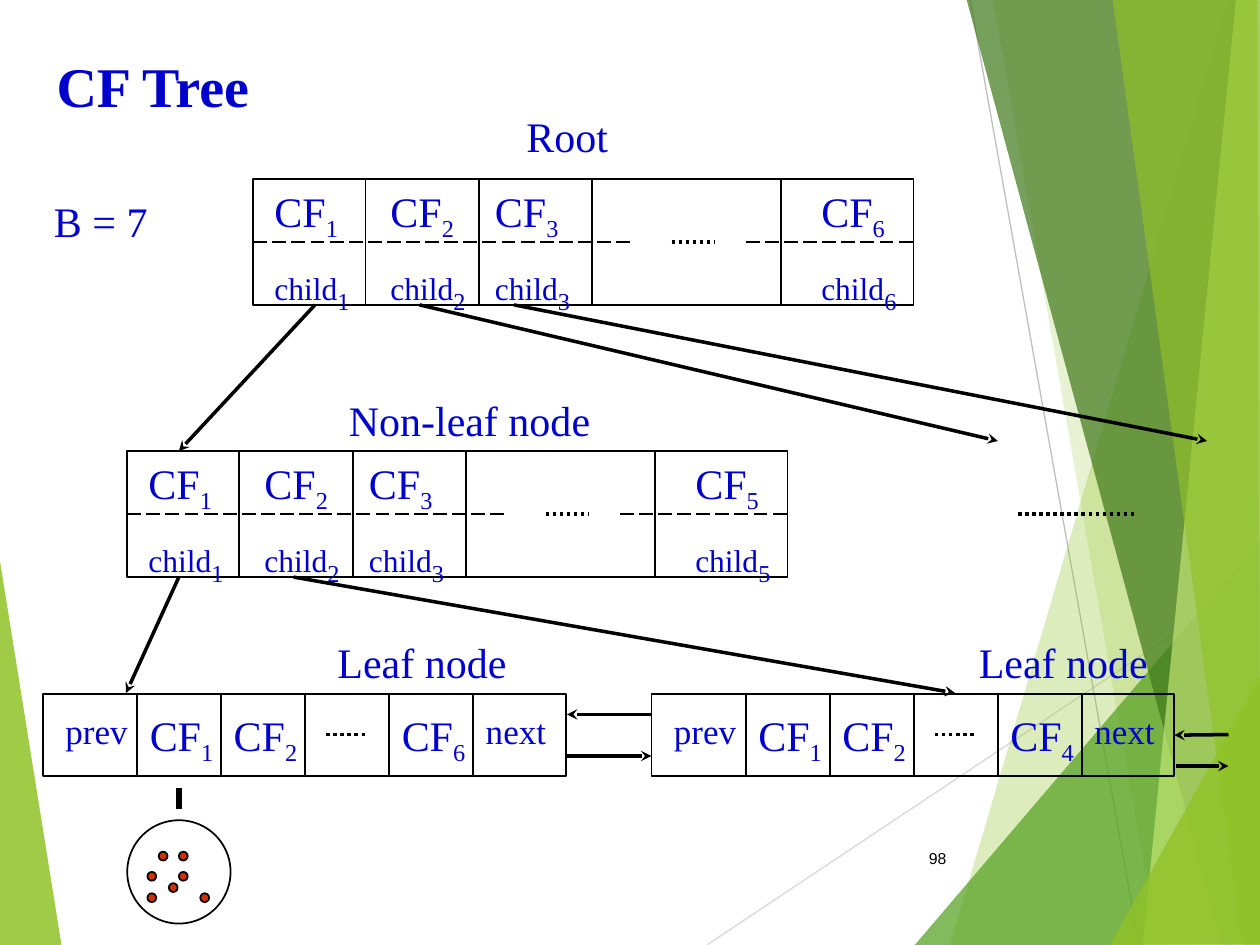
from lxml import etree
from pptx import Presentation
from pptx.dml.color import RGBColor
from pptx.enum.dml import MSO_LINE
from pptx.enum.shapes import MSO_CONNECTOR, MSO_SHAPE
from pptx.enum.text import MSO_ANCHOR, MSO_AUTO_SIZE, PP_ALIGN
from pptx.oxml.ns import qn
from pptx.util import Cm, Pt

STRAIGHT = MSO_CONNECTOR.STRAIGHT
RECTANGLE, OVAL = MSO_SHAPE.RECTANGLE, MSO_SHAPE.OVAL
LONG_DASH, DOTS = MSO_LINE.LONG_DASH, MSO_LINE.ROUND_DOT
TOP, MIDDLE, BOTTOM = MSO_ANCHOR.TOP, MSO_ANCHOR.MIDDLE, MSO_ANCHOR.BOTTOM
GROW, FIXED = MSO_AUTO_SIZE.SHAPE_TO_FIT_TEXT, MSO_AUTO_SIZE.NONE
LEFT_ALIGN, RIGHT_ALIGN = PP_ALIGN.LEFT, PP_ALIGN.RIGHT

BLACK = RGBColor(0x00, 0x00, 0x00)
BLUE = RGBColor(0x00, 0x00, 0xCC)
RED = RGBColor(0xCC, 0x33, 0x00)
LIME = RGBColor(0x90, 0xC2, 0x26)
GREEN = RGBColor(0x54, 0xA0, 0x21)
FOREST = RGBColor(0x3F, 0x78, 0x19)
PALE_LIME = RGBColor(0xC0, 0xE4, 0x74)
LIGHT_GRAY = RGBColor(0xD9, 0xD9, 0xD9)
GRAY = RGBColor(0xBF, 0xBF, 0xBF)

CM_PER_INCH = 2.54
LEFT_SIDE, RIGHT_SIDE = 1, 3

FACETS = [
    ([(9.75, 0), (7.54, 7.5), (10.02, 7.51), (10.01, 0.01)], LIME, 30),
    ([(7.88, -0.01), (9.19, 7.5), (10.01, 7.5), (10.01, -0.01)], LIME, 20),
    ([(7.26, 7.5), (10, 4.29), (10.01, 7.5)], GREEN, 72),
    ([(7.67, -0.01), (9.7, 7.5), (10.01, 7.49), (10.01, -0.01)], FOREST, 70),
    ([(9.81, -0.01), (9.07, 7.5), (10.01, 7.5), (10, -0.01)], PALE_LIME, 70),
    ([(8.83, -0.01), (9.86, 7.5), (10, 7.5), (9.98, -0.01)], LIME, 65),
    ([(8.81, 7.5), (10.01, 5.35), (10.01, 7.49)], LIME, 80),
]
CHILD_ARROWS = [
    ((2.5, 2.42), (1.42, 3.58)),
    ((3.33, 2.42), (7.92, 3.5)),
    ((4.08, 2.42), (9.58, 3.5)),
    ((1.42, 4.58), (1, 5.5)),
    ((2.33, 4.58), (7.58, 5.5)),
]
SIBLING_ARROWS = [
    ((5.17, 5.67), (4.5, 5.67)),
    ((4.5, 6), (5.17, 6)),
    ((9.33, 6.08), (9.75, 6.08)),
]
HEADINGS = [
    ("Root", 4.08, 0.83, 1.08),
    ("Non-leaf node", 2.67, 3.08, 2.17),
    ("Leaf node", 2.58, 5, 1.58),
    ("Leaf node", 7.67, 5, 1.58),
]
POINTS = [(1.26, 6.76), (1.42, 6.92), (1.42, 6.76), (1.17, 7.09),
          (1.17, 6.92), (1.34, 7.01), (1.59, 7.09)]


def length(inches):
    return Cm(inches * CM_PER_INCH)


def apply_format(target, values):
    for name, value in values.items():
        setattr(target, name, value)


class TreeSlide:
    font_name = "Times New Roman"

    def __init__(self, presentation):
        self.slide = presentation.slides.add_slide(presentation.slide_layouts[6])
        self.shapes = self.slide.shapes

    def facet(self, points, color, opacity):
        corners = [(length(x), length(y)) for x, y in points]
        builder = self.shapes.build_freeform(*corners[0])
        builder.add_line_segments(corners[1:], close=True)
        shape = builder.convert_to_shape()
        shape.shadow.inherit = False
        shape.line.fill.background()
        shape.fill.solid()
        shape.fill.fore_color.rgb = color
        color_element = shape._element.spPr.find(".//" + qn("a:srgbClr"))
        etree.SubElement(color_element, qn("a:alpha"), val=str(opacity * 1000))

    def outline(self, kind, left, top, width, height, fill=None):
        shape = self.shapes.add_shape(kind, *map(length, (left, top, width, height)))
        shape.shadow.inherit = False
        if fill is None:
            shape.fill.background()
        else:
            shape.fill.solid()
            shape.fill.fore_color.rgb = fill
        shape.line.color.rgb = BLACK
        shape.line.width = Pt(1)
        return shape

    def line(self, start, end, width=1, color=BLACK, dash=None, arrow=False):
        connector = self.shapes.add_connector(STRAIGHT, *map(length, (*start, *end)))
        connector.line.color.rgb = color
        apply_format(connector.line, {"width": Pt(width), "dash_style": dash})
        properties = connector._element.spPr
        if arrow:
            etree.SubElement(properties.find(qn("a:ln")), qn("a:tailEnd"), type="stealth")
        etree.SubElement(properties, qn("a:effectLst"))
        return connector

    def text(self, content, left, top, width, height, size=24, subscript="",
             color=BLUE, frame_format=None, align=LEFT_ALIGN, font_format=None):
        box = self.shapes.add_textbox(*map(length, (left, top, width, height)))
        frame = {"word_wrap": True, "auto_size": GROW, "vertical_anchor": TOP}
        apply_format(box.text_frame, {**frame, **(frame_format or {})})
        paragraph = box.text_frame.paragraphs[0]
        paragraph.alignment = align
        for part, part_size, baseline in ((content, size, None), (subscript, 24, "-25000")):
            if part:
                run = paragraph.add_run()
                run.text = part
                values = {"name": self.font_name, "size": Pt(part_size)}
                apply_format(run.font, {**values, **(font_format or {})})
                run.font.color.rgb = color
                if baseline:
                    run._r.get_or_add_rPr().set("baseline", baseline)

    def inner_node(self, left, top, last_entry):
        middle = top + 0.5
        node = self.outline(RECTANGLE, left + 0.01, top, 5.24, 1)
        for offset in (0.9, 1.8, 2.7, 4.2):
            self.line((left + offset, top), (left + offset, top + 1))
        first_dash = self.line((left, middle), (left + 3, middle), dash=LONG_DASH)
        first_dash.begin_connect(node, LEFT_SIDE)
        last_dash = self.line((left + 3.92, middle), (left + 5.25, middle), dash=LONG_DASH)
        last_dash.end_connect(node, RIGHT_SIDE)
        for offset, entry in zip((0.08, 1, 1.83, 4.42), ("1", "2", "3", last_entry)):
            self.text("CF", left + offset, top, 0.75, 0.5, subscript=entry)
            self.text("child", left + offset, top + 0.58, 1, 0.4, 18, entry)
        self.line((left + 3.33, middle), (left + 3.67, middle), 2, dash=DOTS)

    def leaf_node(self, left, last_entry):
        node = self.outline(RECTANGLE, left, 5.51, 4.15, 0.65)
        dividers = [left + 0.75 + column * 2 / 3 for column in range(5)]
        for x in dividers:
            self.line((x, 5.5), (x, 6.17))
        for column, entry in ((0, "1"), (1, "2"), (3, last_entry)):
            self.text("CF", dividers[column], 5.58, 0.75, 0.5, subscript=entry)
        self.line((left + 2.25, 5.83), (left + 2.58, 5.83), 2, dash=DOTS)
        for word, x in (("prev", left + 0.08), ("next", dividers[4])):
            self.text(word, x, 5.58, 0.75, 0.43, 20)
        return node


def main():
    presentation = Presentation()
    apply_format(presentation, {"slide_width": length(10), "slide_height": length(7.5)})
    tree = TreeSlide(presentation)

    tree.facet([(-0.01, 4.39), (0.49, 7.51), (-0.01, 7.5)], LIME, 85)
    tree.line((5.61, 7.5), (10.01, 4.57), 0.75, LIGHT_GRAY)
    tree.line((7.7, 0), (9.04, 7.5), 0.75, GRAY)
    for points, color, opacity in FACETS:
        tree.facet(points, color, opacity)

    tree.text("98", 7.05, 6.61, 0.56, 0.4, 9, color=BLACK, align=RIGHT_ALIGN,
              frame_format={"auto_size": FIXED, "vertical_anchor": MIDDLE},
              font_format={"name": "Arial"})
    tree.text("CF Tree", 0.35, 0.25, 2.48, 0.74, 32,
              frame_format={"auto_size": FIXED, "vertical_anchor": BOTTOM},
              font_format={"bold": True})
    tree.text("B = 7", 0.33, 1.5, 1.17, 1.1)

    tree.inner_node(2, 1.42, "6")
    tree.inner_node(1, 3.58, "5")
    tree.leaf_node(0.34, "6")
    last_leaf = tree.leaf_node(5.17, "4")
    for start, end in CHILD_ARROWS + SIBLING_ARROWS:
        tree.line(start, end, 2, arrow=True)
    incoming = tree.line((9.75, 5.83), (9.33, 5.83), 2, arrow=True)
    incoming.end_connect(last_leaf, RIGHT_SIDE)
    tree.line((8.08, 4.08), (9, 4.08), 2, dash=DOTS)
    for heading, left, top, width in HEADINGS:
        tree.text(heading, left, top, width, 0.5)

    for left, top in POINTS:
        tree.outline(OVAL, left, top, 0.07, 0.07, RED)
    tree.outline(OVAL, 1.01, 6.51, 0.82, 0.82)
    tree.line((1.42, 6.25), (1.42, 6.42), 3)

    presentation.save("out.pptx")


if __name__ == "__main__":
    main()
